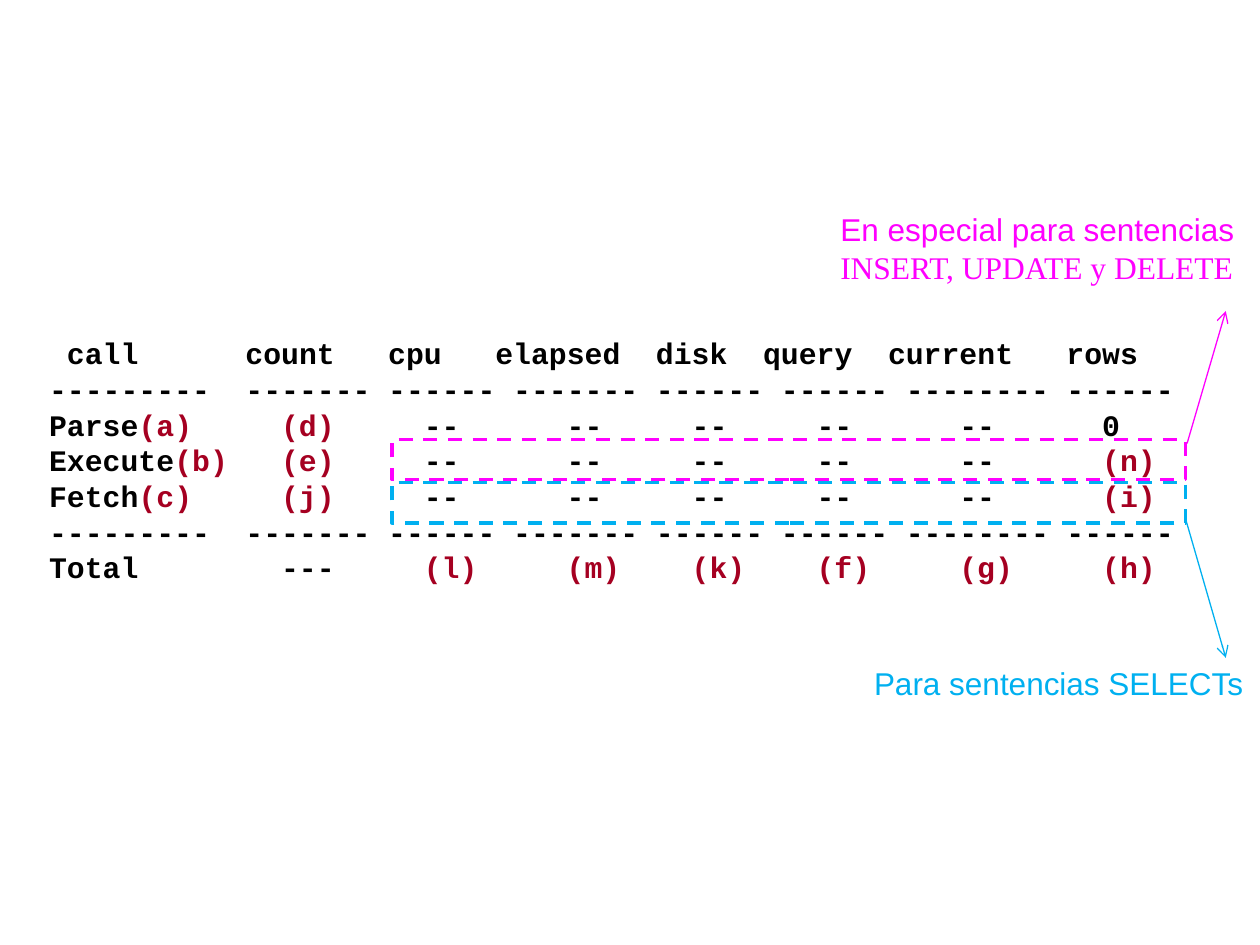
from lxml.etree import SubElement
from pptx import Presentation
from pptx.dml.color import RGBColor
from pptx.enum.dml import MSO_LINE_DASH_STYLE as Dash
from pptx.enum.shapes import MSO_CONNECTOR as Connector, MSO_SHAPE as Shape
from pptx.oxml.ns import qn
from pptx.util import Cm, Pt

HEADING_STOPS = (11, 19, 25, 34, 40, 47, 57)
RULE_STOPS = (11, 19, 26, 34, 41, 48, 57)
VALUE_STOPS = (13, 21, 29, 36, 43, 51, 59)

headings = (" call", "count", "cpu", "elapsed", "disk", "query", "current", "rows")
rule = tuple("-" * width for width in (9, 7, 6, 7, 6, 6, 8, 6))
unused = ("--",) * 5
trace_rows = [
    (HEADING_STOPS, headings),
    (RULE_STOPS, rule),
    (VALUE_STOPS, ("Parse(a)", "(d)", *unused, "0")),
    (VALUE_STOPS, ("Execute(b)", "(e)", *unused, "(n)")),
    (VALUE_STOPS, ("Fetch(c)", "(j)", *unused, "(i)")),
    (RULE_STOPS, rule),
    (VALUE_STOPS, ("Total", "---", "(l)", "(m)", "(k)", "(f)", "(g)", "(h)")),
]

theme = {
    "text": "000000", "key": "A50021", "select": "00B0F0", "change": "FF00FF",
    "mono": "Courier New", "sans": "Arial", "serif": "Times New Roman",
    "trace_size": 17, "trace_leading": 20.4, "note_size": 18,
    "frame_width": 2, "arrow_width": 0.75,
}

notes = [
    {
        "color": "select",
        "frame": (7.9, 9.73, 16, 0.81),
        "label": (17.37, 13.26, 8.03, 1.02),
        "lines": [("Para sentencias SELECTs", "sans")],
        "arrow": (23.9, 10.46, 24.71, 13.26),
    },
    {
        "color": "change",
        "frame": (7.9, 8.86, 16, 0.81),
        "label": (16.69, 4.11, 8.71, 1.8),
        "lines": [("En especial para sentencias ", "sans"),
                  ("INSERT, UPDATE y DELETE", "serif")],
        "arrow": (23.93, 8.94, 24.71, 6.27),
    },
]


def color_of(name):
    return RGBColor.from_string(theme[name])


def lengths(values):
    return [Cm(value) for value in values]


def add_run(paragraph, text, color, font, size, bold=False):
    run = paragraph.add_run()
    run.text = text
    values = {"name": theme[font], "size": Pt(theme[size]), "bold": bold}
    for key, value in values.items():
        setattr(run.font, key, value)
    run.font.color.rgb = color_of(color)


def add_paragraphs(slide, place, count):
    frame = slide.shapes.add_textbox(*lengths(place)).text_frame
    frame.word_wrap = True
    for _ in range(count - 1):
        frame.add_paragraph()
    return frame.paragraphs


def set_stops(paragraph, stops):
    tabs = SubElement(paragraph._p.get_or_add_pPr(), qn("a:tabLst"))
    character = Pt(theme["trace_size"] * 0.6)
    for stop in stops:
        SubElement(tabs, qn("a:tab"), pos=str(stop * character), algn="l")


def add_trace(slide):
    paragraphs = add_paragraphs(slide, (0.74, 6.63, 23.52, 5.33), len(trace_rows))
    for paragraph, (stops, cells) in zip(paragraphs, trace_rows):
        paragraph.line_spacing = Pt(theme["trace_leading"])
        set_stops(paragraph, stops)
        for index, cell in enumerate(cells):
            name, bracket, key = cell.partition("(")
            lead = "\t" if index else ""
            for text, color in ((lead + name, "text"), (bracket + key, "key")):
                if text:
                    add_run(paragraph, text, color, "mono", "trace_size", True)


def add_note(slide, note):
    color = note["color"]
    frame = slide.shapes.add_shape(Shape.RECTANGLE, *lengths(note["frame"]))
    frame.shadow.inherit = False
    frame.fill.background()
    frame.line.dash_style = Dash.DASH

    paragraphs = add_paragraphs(slide, note["label"], len(note["lines"]))
    for paragraph, (text, font) in zip(paragraphs, note["lines"]):
        add_run(paragraph, text, color, font, "note_size")

    arrow = slide.shapes.add_connector(Connector.STRAIGHT, *lengths(note["arrow"]))
    for part, width in ((frame, "frame_width"), (arrow, "arrow_width")):
        part.line.color.rgb = color_of(color)
        part.line.width = Pt(theme[width])
    SubElement(arrow.line._get_or_add_ln(), qn("a:tailEnd"), type="arrow")
    SubElement(arrow._element.spPr, qn("a:effectLst"))


deck = Presentation()
deck.slide_width, deck.slide_height = lengths((25.4, 19.05))
slide = deck.slides.add_slide(deck.slide_layouts[6])
add_trace(slide)
for note in notes:
    add_note(slide, note)
deck.save("out.pptx")
